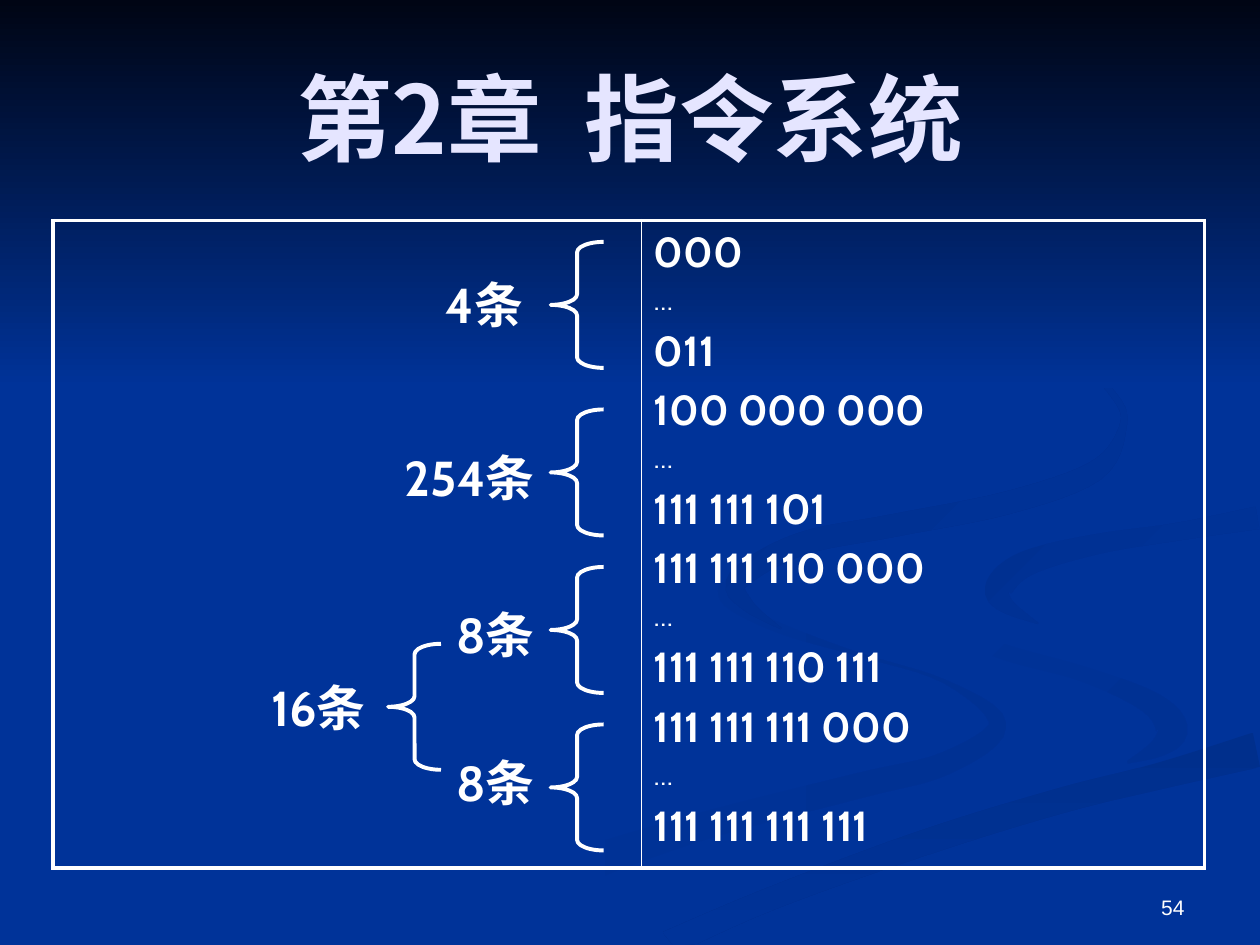
from math import hypot
from lxml.etree import SubElement
from pptx import Presentation
from pptx.dml.color import RGBColor
from pptx.enum.shapes import MSO_SHAPE as SHAPE
from pptx.enum.text import MSO_ANCHOR as ANCHOR, PP_ALIGN as ALIGN
from pptx.oxml.ns import qn
from pptx.util import Inches, Pt

rgb = RGBColor.from_string
WHITE, LILAC, NIGHT, BLUE = "FFFFFF", "E5E5FF", "000514", "003399"
LATIN_FONT, CJK_FONT = "Cabin", "Noto Sans CJK SC"
SLIDE_WIDTH, SLIDE_HEIGHT = 10, 7.5
THIN, THICK = 1, 2.25


def ribbon_outline(knots, steps=6):
    """Smooth (x, y, thickness) knots with a Catmull-Rom curve and return the closed outline."""
    padded = [knots[0], *knots, knots[-1]]
    centre = []
    for a, b, c, d in zip(padded, padded[1:], padded[2:], padded[3:]):
        for t in (step / steps for step in range(steps)):
            centre.append([q + t * (r - p) / 2 + t**2 * (p - 2.5 * q + 2 * r - s / 2)
                           + t**3 * (3 * q - p - 3 * r + s) / 2
                           for p, q, r, s in zip(a, b, c, d)])
    centre.append(knots[-1])
    first_edge, second_edge = [], []
    neighbours = zip([centre[0], *centre], centre, [*centre[1:], centre[-1]])
    for before, (x, y, thickness), after in neighbours:
        along_x, along_y = after[0] - before[0], after[1] - before[1]
        scale = thickness / 2 / hypot(along_x, along_y)
        for edge, side in ((first_edge, scale), (second_edge, -scale)):
            edge.append((Inches(min(x - side * along_y, SLIDE_WIDTH)),
                         Inches(min(y + side * along_x, SLIDE_HEIGHT))))
    return first_edge + second_edge[::-1]


def format_text(paragraph, size, font, color=WHITE, bold=True, align=ALIGN.LEFT):
    """Align a paragraph and format its runs."""
    paragraph.alignment = align
    for run in paragraph.runs:
        run.font.size, run.font.name, run.font.bold = Pt(size), font, bold
        run.font.color.rgb = rgb(color)
        SubElement(run._r.rPr, qn("a:ea")).set("typeface", CJK_FONT)


presentation = Presentation()
presentation.slide_width, presentation.slide_height = Inches(SLIDE_WIDTH), Inches(SLIDE_HEIGHT)
slide = presentation.slides.add_slide(presentation.slide_layouts[6])
shapes = slide.shapes
slide.background.fill.solid()
slide.background.fill.fore_color.rgb = rgb(BLUE)

# Ribbons: each is a centre line of (x, y, thickness) knots
lower_curl = [(5.73, 4.62, 0.04), (5.78, 4.78, 0.08), (6.2, 4.99, 0.08), (6.8, 5.19, 0.03),
              (7.5, 5.41, 0.03), (7.92, 5.75, 0.14), (7.5, 6.06, 0.18), (6.8, 6.24, 0.2),
              (5.5, 6.58, 0.22), (4.35, 6.98, 0.3), (3.3, 7.49, 0.4)]
right_curl = [(7.24, 4.66, 0.02), (7.36, 4.87, 0.05), (7.9, 5.15, 0.12), (8.6, 5.35, 0.12),
              (9.12, 5.57, 0.18), (9.3, 5.78, 0.25), (9.2, 5.93, 0.15), (8.95, 6.05, 0.02)]
bottom_band = [(5.3, 7.49, 0.2), (6.1, 7.14, 0.18), (7.3, 6.7, 0.2), (8.4, 6.36, 0.2),
               (9.2, 6.16, 0.21), (9.98, 5.95, 0.28)]
right_hook = [(9.98, 4.11, 0.18), (9.35, 4.22, 0.14), (8.7, 4.32, 0.16), (8.15, 4.47, 0.2),
              (7.93, 4.66, 0.22), (7.98, 4.8, 0.13), (8.24, 4.95, 0.01)]
upper_curl = [(7.62, 2.33, 0.01), (8.45, 2.78, 0.03), (8.85, 3.15, 0.05), (8.91, 3.4, 0.06),
              (8.69, 3.74, 0.16), (8, 3.99, 0.18), (7.1, 4.17, 0.18), (6.35, 4.32, 0.18),
              (5.86, 4.6, 0.17), (5.93, 4.8, 0.1), (6.2, 4.99, 0.01)]

# Backdrop: start colour, end colour and clockwise angle of each gradient
backdrop = []
for knots, start, end, angle in [
        (lower_curl, BLUE, "003193", 0), (right_curl, BLUE, "003193", 45),
        (bottom_band, "002F8C", BLUE, 90), (right_hook, "003091", BLUE, 45),
        (upper_curl, "002F8E", BLUE, 45)]:
    outline = ribbon_outline(knots)
    builder = shapes.build_freeform(*outline[0])
    builder.add_line_segments(outline[1:], close=True)
    backdrop.append((builder.convert_to_shape(), start, end, angle))
top_shade = shapes.add_shape(SHAPE.RECTANGLE, 0, 0, Inches(SLIDE_WIDTH), Inches(3.08))
backdrop.append((top_shade, NIGHT, BLUE, 90))
for shape, start, end, angle in backdrop:
    shape.shadow.inherit = False
    shape.line.fill.background()
    shape.fill.gradient()
    shape.fill.gradient_angle = (360 - angle) % 360
    for stop, color in zip(shape.fill.gradient_stops, (start, end)):
        stop.color.rgb = rgb(color)

# Table of opcodes
column_widths = [4.67, 4.47]
table = shapes.add_table(1, 2, Inches(0.42), Inches(1.75),
                         Inches(sum(column_widths)), Inches(5.14)).table
table.first_row = table.horz_banding = False
for column, (width, left_line, right_line) in enumerate(
        zip(column_widths, (THICK, THIN), (THIN, THICK))):
    table.columns[column].width = Inches(width)
    cell = table.cell(0, column)
    for side, line_width in zip("LRTB", (left_line, right_line, THICK, THICK)):
        border = SubElement(cell._tc.get_or_add_tcPr(), qn(f"a:ln{side}"), w=str(Pt(line_width)))
        SubElement(SubElement(border, qn("a:solidFill")), qn("a:srgbClr"), val=WHITE)
    cell.fill.background()

opcode_ranges = [("000", "011"), ("100 000 000", "111 111 101"),
                 ("111 111 110 000", "111 111 110 111"),
                 ("111 111 111 000", "111 111 111 111")]
opcode_frame = table.cell(0, 1).text_frame
opcode_frame.text = "\n".join(f"{first}\n…\n{last}" for first, last in opcode_ranges)
for paragraph in opcode_frame.paragraphs:
    is_code = paragraph.text != "…"
    size = 24 if is_code else 16
    paragraph.space_before = Pt(size * 0.2)
    format_text(paragraph, size, LATIN_FONT, bold=is_code)

# Instruction counts: number, label left, top and width, brace left and top
text_boxes = []
count_style = (28, LATIN_FONT, WHITE, True, ALIGN.RIGHT)
for count, label_left, label_top, label_width, brace_left, brace_top in [
        (4, 1.67, 2.13, 2.58, 4.37, 1.92),
        (254, 1.67, 3.5, 2.67, 4.37, 3.25),
        (8, 3.42, 4.75, 0.92, 4.37, 4.5),
        (8, 3.42, 5.92, 0.92, 4.37, 5.75),
        (16, 1.5, 5.33, 1.5, 3.08, 5.11)]:
    brace = shapes.add_shape(SHAPE.LEFT_BRACE, Inches(brace_left), Inches(brace_top),
                             Inches(0.42), Inches(1))
    brace.shadow.inherit = False
    brace.adjustments[0], brace.adjustments[1] = 0.2, 0.5
    brace.fill.background()
    brace.line.color.rgb = rgb(WHITE)
    brace.line.width = Pt(THICK)
    text_boxes.append((f"{count}条", label_left, label_top, label_width, 0.57,
                       ANCHOR.TOP, count_style))

# Title and page number join the count labels
text_boxes += [
    ("第2章  指令系统", 0.5, 0.3, 9, 1.25, ANCHOR.MIDDLE,
     (54, CJK_FONT, LILAC, True, ALIGN.CENTER)),
    ("54", 7.17, 6.83, 2.33, 0.52, ANCHOR.BOTTOM, (12, "Arial", WHITE, False, ALIGN.RIGHT))]
for text, left, top, width, height, anchor, style in text_boxes:
    text_frame = shapes.add_textbox(Inches(left), Inches(top),
                                    Inches(width), Inches(height)).text_frame
    text_frame.word_wrap = True
    text_frame.vertical_anchor = anchor
    text_frame.text = text
    format_text(text_frame.paragraphs[0], *style)

presentation.save("out.pptx")
